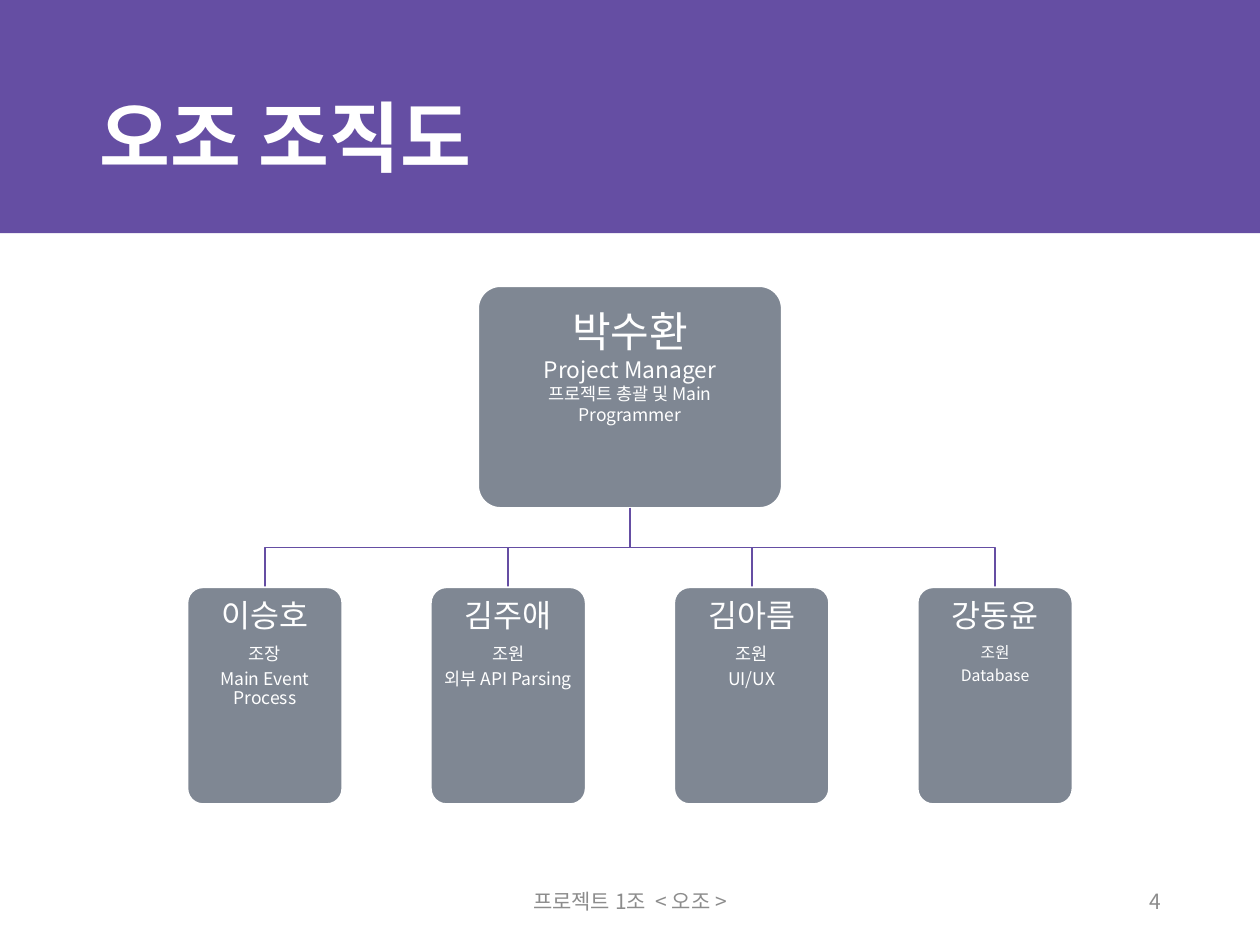
from pptx import Presentation
from pptx.dml.color import RGBColor
from pptx.enum.shapes import MSO_SHAPE as Shape
from pptx.enum.text import MSO_ANCHOR as Anchor, PP_ALIGN as Align
from pptx.oxml.ns import qn
from pptx.util import Cm, Pt

COLORS = {"violet": "654EA3", "slate": "7F8793", "white": "FFFFFF", "gray": "8C8C8C"}
FONT = "Noto Sans CJK KR"
MANAGER = [("박수환", 24), ("Project Manager", 13), ("프로젝트 총괄 및 Main Programmer", 10)]
MEMBERS = [
    [("이승호", 18), ("조장", 10), ("Main Event Process", 10)],
    [("김주애", 18), ("조원", 10), ("외부 API Parsing", 10)],
    [("김아름", 18), ("조원", 10), ("UI/UX", 10)],
    [("강동윤", 18), ("조원", 9), ("Database", 9)],
]


def color(name):
    """Return the named colour."""
    return RGBColor.from_string(COLORS[name])


def place(shape, left, top, width, height):
    """Move and size a shape, in centimetres."""
    shape.left, shape.top = Cm(left), Cm(top)
    shape.width, shape.height = Cm(width), Cm(height)


def write(frame, lines, tone, align, bold=False, spacing=1.0, after=0.0):
    """Write (text, size) lines, with space after as a share of the size."""
    frame.word_wrap = True
    frame.text = "\n".join(text for text, _ in lines)
    for para, (_, size) in zip(frame.paragraphs, lines):
        para.alignment = align
        para.line_spacing = spacing
        para.space_before, para.space_after = Pt(0), Pt(size * after)
        for span in para.runs:
            font = span.font
            font.name, font.size, font.bold = FONT, Pt(size), bold
            font.color.rgb = color(tone)
            east_asian = span._r.get_or_add_rPr().makeelement(qn("a:ea"), {"typeface": FONT})
            font._rPr.find(qn("a:latin")).addnext(east_asian)


def add_header(page, left, top, width, height):
    """Add the violet band behind the title placeholder."""
    band = page.shapes.add_shape(Shape.RECTANGLE, 0, 0, 0, 0)
    place(band, left, top, width, height)
    band.shadow.inherit = False
    band.fill.solid()
    band.fill.fore_color.rgb = color("violet")
    band.line.fill.background()
    page.shapes._spTree.insert(2, band._element)

    title = page.shapes.title
    place(title, left + 1.75, top + 1.02, width - 3.5, height - 1.02)
    write(title.text_frame, [("오조 조직도", 44)], "white", Align.LEFT, bold=True, spacing=0.9)
    title.text_frame.vertical_anchor = Anchor.MIDDLE


def add_card(group, left, top, width, height, lines, margin, inset, **spacing):
    """Add a rounded card and its centred text to the group."""
    card = group.shapes.add_shape(Shape.ROUNDED_RECTANGLE, 0, 0, 0, 0)
    place(card, left, top, width, height)
    card.adjustments[0] = 0.1
    card.shadow.inherit = False
    card.fill.solid()
    card.fill.fore_color.rgb = color("slate")
    card.line.color.rgb = color("white")
    card.line.width = Pt(1)

    box = group.shapes.add_textbox(0, 0, 0, 0)
    place(box, left + margin, top + margin, width - 2 * margin, height - 2 * margin)
    frame = box.text_frame
    frame.margin_left = frame.margin_right = Cm(inset)
    frame.margin_top = frame.margin_bottom = Cm(inset)
    write(frame, lines, "white", Align.CENTER, **spacing)


def add_branch(group, start_x, start_y, end_x, end_y):
    """Add an elbow line that bends halfway down."""
    middle = (start_y + end_y) / 2
    builder = group.shapes.build_freeform(Cm(start_x), Cm(start_y))
    corners = [(start_x, middle), (end_x, middle), (end_x, end_y)]
    builder.add_line_segments([(Cm(x), Cm(y)) for x, y in corners], close=False)
    branch = builder.convert_to_shape()
    branch.shadow.inherit = False
    branch.fill.background()
    branch.line.color.rgb = color("violet")
    branch.line.width = Pt(1)


def add_chart_tree(page, left, top, width, height):
    """Add the manager with a row of members below."""
    group = page.shapes.add_group_shape()
    center = left + width / 2
    root_width, root_height = 6.12, 4.47
    card_width, card_height = 3.12, 4.37
    card_top = top + height - card_height
    pitch = (width - card_width) / (len(MEMBERS) - 1)
    add_card(group, center - root_width / 2, top, root_width, root_height, MANAGER, 0.13, 0.25)
    for index, member in enumerate(MEMBERS):
        card_left = left + index * pitch
        add_branch(group, center, top + root_height, card_left + card_width / 2, card_top)
        add_card(group, card_left, card_top, card_width, card_height, member,
                 0.09, 0.17, spacing=0.9, after=0.35)


def add_footer(page, left, top, width, height):
    """Add the centred team name and the page number at the right."""
    parts = [
        ("프로젝트 1조  < 오조 >", (width - 8.58) / 2, 8.58, Align.CENTER),
        ("4", width - 5.72, 5.72, Align.RIGHT),
    ]
    for text, offset, box_width, align in parts:
        box = page.shapes.add_textbox(0, 0, 0, 0)
        place(box, left + offset, top, box_width, height)
        write(box.text_frame, [(text, 12)], "gray", align)
        box.text_frame.vertical_anchor = Anchor.MIDDLE


def main():
    """Build and save the slide."""
    deck = Presentation()
    deck.slide_width, deck.slide_height = Cm(25.4), Cm(19.05)
    page = deck.slides.add_slide(deck.slide_layouts[5])
    add_header(page, 0, 0, 25.4, 4.7)
    add_chart_tree(page, 3.78, 5.77, 17.84, 10.44)
    add_footer(page, 1.75, 17.65, 21.9, 1.02)
    deck.save("out.pptx")


if __name__ == "__main__":
    main()
